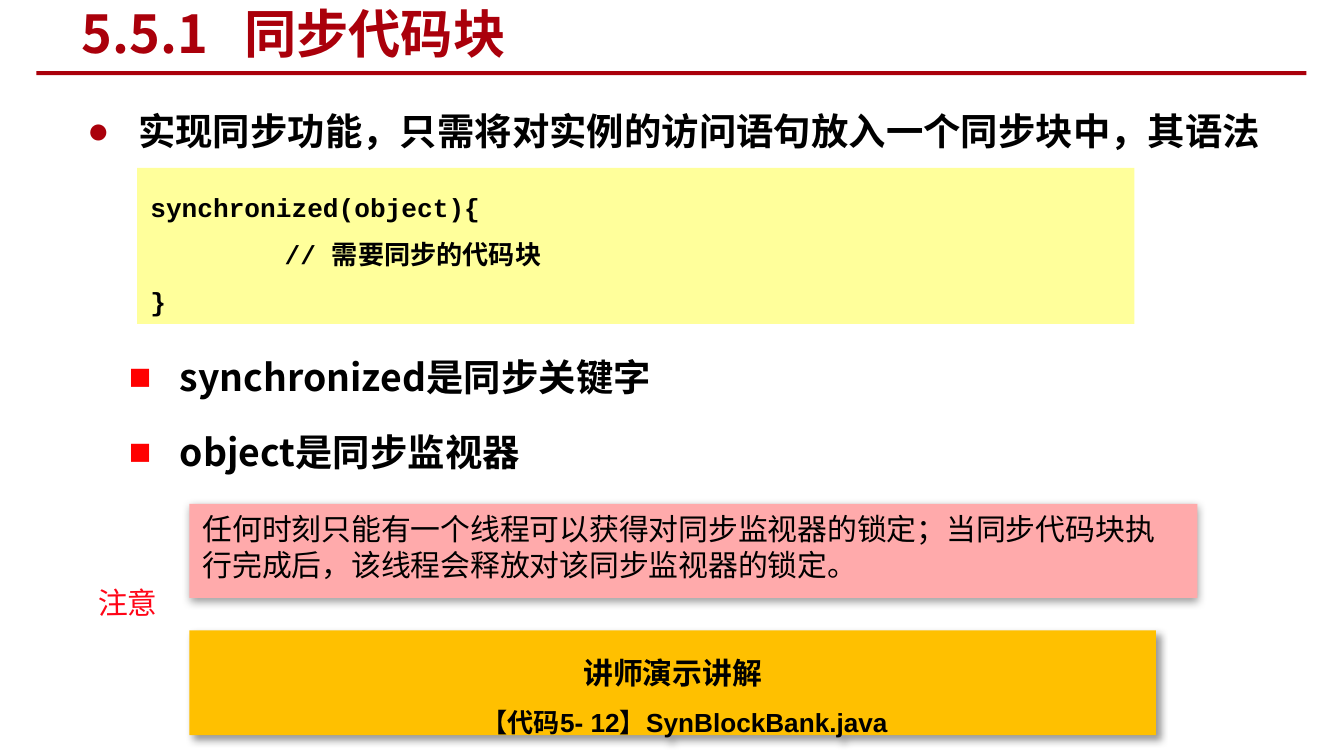
from lxml import etree
from pptx import Presentation
from pptx.dml.color import RGBColor as Rgb
from pptx.enum.shapes import MSO_SHAPE as Kind
from pptx.enum.text import MSO_ANCHOR as Anchor, PP_ALIGN as Align
from pptx.oxml.ns import qn
from pptx.util import Inches, Pt

THEME = {
    "red": "AA000B", "bright": "FF0000", "note": "FF0517", "ink": "000000",
    "code": "FFFF9B", "pink": "FFAAAB", "gold": "FFC000",
    "cjk": "Noto Sans CJK SC", "mono": "Courier New",
    "sans": "Arial", "body": "Calibri",
    "head": 28, "lead": 20, "text": 16, "small": 14,
}

TITLE = ["5.5.1\t同步代码块"]
LEAD = ["实现同步功能，只需将对实例的访问语句放入一个同步块中，其语法"]
CODE = ["synchronized(object){", "\t// 需要同步的代码块", "}"]
TERMS = ["synchronized是同步关键字", "object是同步监视器"]
NOTE = ["注意"]
RULE = ["任何时刻只能有一个线程可以获得对同步监视器的锁定；"
        "当同步代码块执行完成后，该线程会释放对该同步监视器的锁定。"]
DEMO = ["讲师演示讲解", "【代码5- 12】SynBlockBank.java"]

ITEMS = [
    {"at": (0.27, 0.53, 9.45, 0.03), "fill": "red"},
    {"at": (0.55, 0.59, 8.98, 0.66), "lines": LEAD, "size": "lead",
     "bold": True, "space": 1.5, "mark": ("●", "red")},
    {"at": (0.51, 0.02, 5.3, 0.45), "lines": TITLE, "size": "head",
     "bold": True, "ink": "red", "mid": True, "tab": 1.21},
    {"at": (1.02, 1.25, 7.42, 1.16), "lines": CODE, "size": "small",
     "bold": True, "font": "mono", "space": 1.5, "fill": "code",
     "mid": True, "tab": 1},
    {"at": (0.86, 2.42, 7.89, 1.33), "lines": TERMS, "size": "lead",
     "bold": True, "space": 1.5, "mark": ("■", "bright"), "gap": 4},
    {"at": (0.63, 4.3, 0.7, 0.37), "lines": NOTE, "ink": "note", "turn": 359},
    {"at": (1.41, 3.75, 7.5, 0.7), "lines": RULE, "font": "body",
     "fill": "pink", "shade": (38, 5, 1.6, 90)},
    {"at": (1.41, 4.69, 7.19, 0.78), "lines": DEMO, "font": "sans",
     "bold": True, "space": 1.5, "align": Align.CENTER, "fill": "gold",
     "sizes": ("text", "small"), "shifts": (0, 0.18),
     "shade": (40, 4, 3, 45)},
]


def color(name):
    return Rgb.from_string(THEME[name])


def add(root, tag, **vals):
    node = etree.SubElement(root, qn(tag))
    for key, val in vals.items():
        node.set(key, str(val))
    return node


def shade(shape, alpha, blur, dist, angle):
    list_ = shape._element.spPr.find(qn("a:effectLst"))
    cast = add(list_, "a:outerShdw", blurRad=Pt(blur), dist=Pt(dist),
               dir=angle * 60000, algn="t", rotWithShape=0)
    tint = add(cast, "a:srgbClr", val=THEME["ink"])
    add(tint, "a:alpha", val=alpha * 1000)


def layout(para, item, num):
    props = para._p.get_or_add_pPr()
    if "mark" in item:
        sign, tint = item["mark"]
        props.set("marL", str(Inches(0.38)))
        props.set("indent", str(Inches(-0.38)))
        add(add(props, "a:buClr"), "a:srgbClr", val=THEME[tint])
        add(props, "a:buFont", typeface=THEME["sans"])
        add(props, "a:buChar", char=sign)
    if "tab" in item:
        add(add(props, "a:tabLst"), "a:tab", pos=Inches(item["tab"]), algn="l")
    if "shifts" in item:
        props.set("indent", str(Inches(item["shifts"][num])))


def write(shape, item):
    frame = shape.text_frame
    frame.word_wrap = True
    frame.vertical_anchor = Anchor.MIDDLE if item.get("mid") else Anchor.TOP
    for num, line in enumerate(item["lines"]):
        para = frame.add_paragraph() if num else frame.paragraphs[0]
        layout(para, item, num)
        look = {"alignment": item.get("align", Align.LEFT),
                "line_spacing": item.get("space", 1.0)}
        if num and "gap" in item:
            look["space_before"] = Pt(item["gap"])
        for key, val in look.items():
            setattr(para, key, val)
        run = para.add_run()
        run.text = line
        size = item["sizes"][num] if "sizes" in item else item.get("size", "text")
        face = {"name": THEME[item.get("font", "cjk")],
                "size": Pt(THEME[size]), "bold": item.get("bold", False)}
        for key, val in face.items():
            setattr(run.font, key, val)
        run.font.color.rgb = color(item.get("ink", "ink"))


def draw(slide, item):
    box = [Inches(val) for val in item["at"]]
    if "fill" in item:
        shape = slide.shapes.add_shape(Kind.RECTANGLE, *box)
        shape.shadow.inherit = False
        shape.fill.solid()
        shape.fill.fore_color.rgb = color(item["fill"])
        shape.line.fill.background()
    else:
        shape = slide.shapes.add_textbox(*box)
    shape.rotation = item.get("turn", 0)
    if "shade" in item:
        shade(shape, *item["shade"])
    if "lines" in item:
        write(shape, item)


def main():
    deck = Presentation()
    deck.slide_width = Inches(10)
    deck.slide_height = Inches(10 * 9 / 16)
    slide = deck.slides.add_slide(deck.slide_layouts[6])
    for item in ITEMS:
        draw(slide, item)
    deck.save("out.pptx")


if __name__ == "__main__":
    main()
